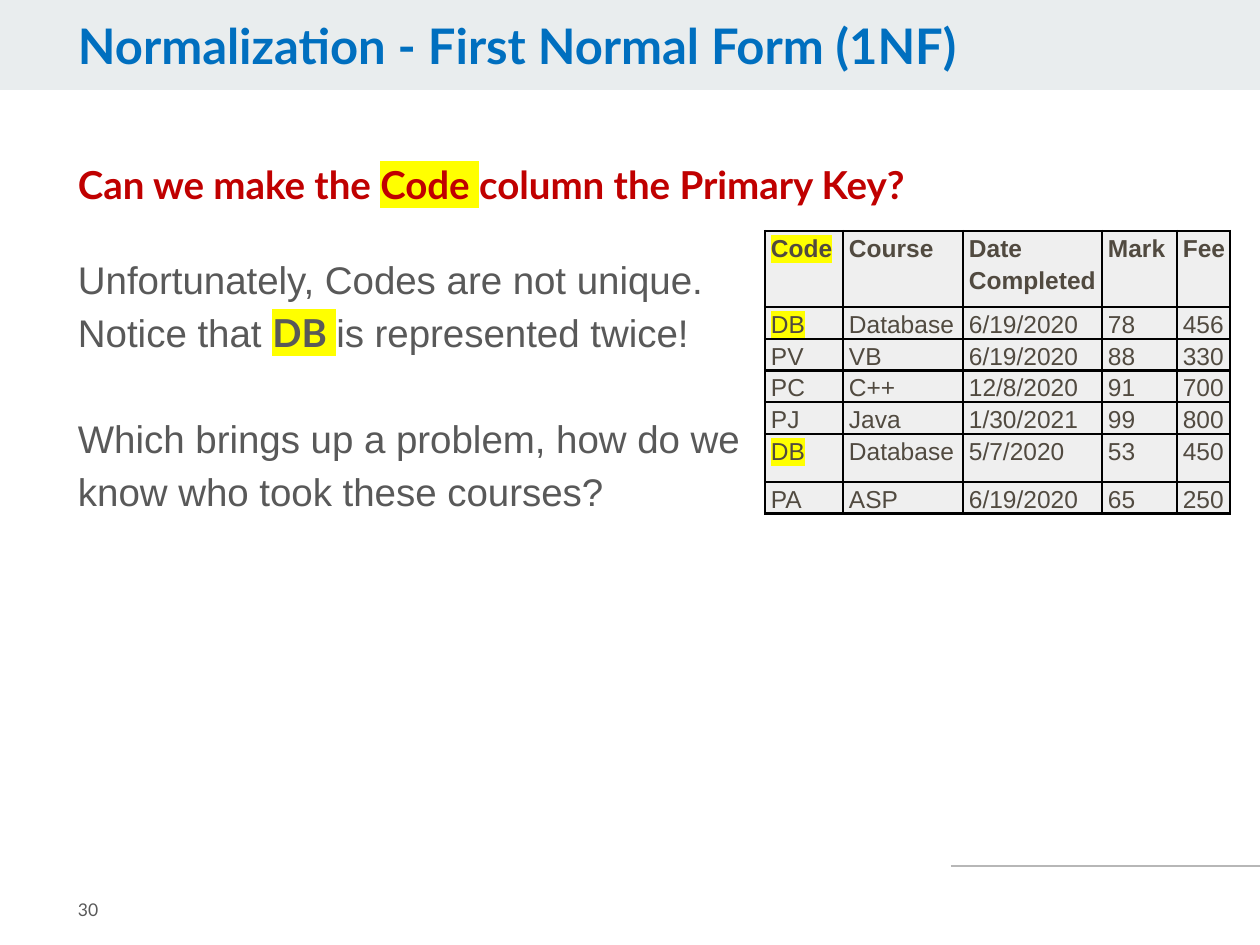
from typing import NamedTuple

from lxml.etree import SubElement
from pptx import Presentation
from pptx.dml.color import RGBColor
from pptx.enum.shapes import MSO_CONNECTOR, MSO_SHAPE
from pptx.enum.text import MSO_ANCHOR, MSO_AUTO_SIZE, PP_ALIGN
from pptx.oxml.ns import qn
from pptx.util import Emu, Pt

PX_PER_INCH = 126
COLORS = {
    "title": "006FBF", "question": "C00000", "body": "595959", "cell_text": "514A40",
    "highlight": "FFFF00", "band": "E9EDEE", "cell": "EFEFEF", "rule": "B7B7B7",
    "border": "000000",
}


class Box(NamedTuple):
    left: int
    top: int
    width: int
    height: int


class Style(NamedTuple):
    size: int
    font: str
    color: str
    bold: bool = False


class Piece(NamedTuple):
    text: str
    style: Style
    highlighted: bool = False


class Line(NamedTuple):
    pieces: list[Piece]
    space_before: int = 0


TITLE = Style(28, "Lato", "title", True)
QUESTION = Style(22, "Lato", "question", True)
BODY = Style(22, "Arial", "body")
BODY_STRONG = Style(22, "Lato", "body", True)
NUMBER = Style(10, "Lato", "body")
HEADER = Style(14, "Arial", "cell_text", True)
CELL = Style(14, "Arial", "cell_text")

BODY_LINES = [
    Line([Piece("Unfortunately, Codes are not unique.", BODY)]),
    Line([Piece("Notice that ", BODY), Piece("DB ", BODY_STRONG, True),
          Piece("is represented twice!", BODY)]),
    Line([Piece("Which brings up a problem, how do we know who took these courses?", BODY)], 30),
]
QUESTION_LINE = Line([
    Piece("Can we make the ", QUESTION),
    Piece("Code ", QUESTION, True),
    Piece("column the Primary Key?", QUESTION),
])

COURSES = [
    ["Code", "Course", "Date Completed", "Mark", "Fee"],
    ["DB", "Database", "6/19/2020", "78", "456"],
    ["PV", "VB", "6/19/2020", "88", "330"],
    ["PC", "C++", "12/8/2020", "91", "700"],
    ["PJ", "Java", "1/30/2021", "99", "800"],
    ["DB", "Database", "5/7/2020", "53", "450"],
    ["PA", "ASP", "6/19/2020", "65", "250"],
]
COLUMN_WIDTHS = [78, 120, 139, 75, 53]
ROW_HEIGHTS = [76, 27, 27, 27, 27, 48, 27]
HIGHLIGHTED_CODES = {"Code", "DB"}


def px(length: int) -> Emu:
    return Emu(round(length * 914400 / PX_PER_INCH))


def rgb(name: str) -> RGBColor:
    return RGBColor.from_string(COLORS[name])


def place(shape, box: Box) -> None:
    shape.left, shape.top, shape.width, shape.height = map(px, box)


def add_piece(paragraph, piece: Piece) -> None:
    run = paragraph.add_run()
    run.text = piece.text
    run.font.size = Pt(piece.style.size)
    run.font.bold = piece.style.bold
    run.font.color.rgb = rgb(piece.style.color)
    if piece.highlighted:
        highlight = SubElement(run._r.get_or_add_rPr(), qn("a:highlight"))
        SubElement(highlight, qn("a:srgbClr"), val=COLORS["highlight"])
    run.font.name = piece.style.font


def write(text_frame, lines: list[Line], spacing: float = 1.15) -> None:
    """Fill a text frame with left-aligned, unbulleted paragraphs."""
    for index, line in enumerate(lines):
        paragraph = text_frame.add_paragraph() if index else text_frame.paragraphs[0]
        properties = paragraph._p.get_or_add_pPr()
        properties.set("marL", "0")
        properties.set("indent", "0")
        SubElement(properties, qn("a:buNone"))
        paragraph.alignment = PP_ALIGN.LEFT
        paragraph.line_spacing = spacing
        paragraph.space_before = Pt(line.space_before)
        paragraph.space_after = Pt(0)
        for piece in line.pieces:
            add_piece(paragraph, piece)


def set_frame(text_frame, vertical_margin: int, anchor=MSO_ANCHOR.TOP) -> None:
    text_frame.word_wrap = True
    text_frame.auto_size = MSO_AUTO_SIZE.NONE
    text_frame.vertical_anchor = anchor
    text_frame.margin_left = text_frame.margin_right = px(13)
    text_frame.margin_top = text_frame.margin_bottom = px(vertical_margin)


def fill_placeholder(shape, box: Box, lines: list[Line], spacing: float) -> None:
    place(shape, box)
    set_frame(shape.text_frame, 6)
    write(shape.text_frame, lines, spacing)


def add_text(slide, box: Box, line: Line, spacing: float, anchor=MSO_ANCHOR.TOP) -> None:
    text_frame = slide.shapes.add_textbox(*map(px, box)).text_frame
    set_frame(text_frame, 13, anchor)
    write(text_frame, [line], spacing)


def add_title_band(slide, box: Box) -> None:
    """Draw the band and send it behind the title."""
    band = slide.shapes.add_shape(MSO_SHAPE.RECTANGLE, *map(px, box))
    band.shadow.inherit = False
    band.fill.solid()
    band.fill.fore_color.rgb = rgb("band")
    band.line.fill.background()
    slide.shapes._spTree.insert(2, band._element)


def add_footer_rule(slide, left: int, right: int, top: int) -> None:
    rule = slide.shapes.add_connector(
        MSO_CONNECTOR.STRAIGHT, px(left), px(top), px(right), px(top))
    rule.line.color.rgb = rgb("rule")
    rule.line.width = Pt(0.75)
    SubElement(rule._element.spPr, qn("a:effectLst"))


def add_borders(cell) -> None:
    properties = cell._tc.get_or_add_tcPr()
    for index, side in enumerate(("lnL", "lnR", "lnT", "lnB")):
        border = SubElement(properties, qn(f"a:{side}"), w=str(Pt(1.5)))
        fill = SubElement(border, qn("a:solidFill"))
        SubElement(fill, qn("a:srgbClr"), val=COLORS["border"])
        properties.insert(index, border)


def add_course_table(slide, left: int, top: int) -> None:
    box = Box(left, top, sum(COLUMN_WIDTHS), sum(ROW_HEIGHTS))
    table = slide.shapes.add_table(len(COURSES), len(COLUMN_WIDTHS), *map(px, box)).table
    for column, width in zip(table.columns, COLUMN_WIDTHS):
        column.width = px(width)
    for row_index, (row, height) in enumerate(zip(table.rows, ROW_HEIGHTS)):
        row.height = px(height)
        for cell, text in zip(row.cells, COURSES[row_index]):
            cell.margin_left = px(6)
            cell.margin_right = cell.margin_top = cell.margin_bottom = 0
            cell.fill.solid()
            cell.fill.fore_color.rgb = rgb("cell")
            add_borders(cell)
            style = CELL if row_index else HEADER
            write(cell.text_frame, [Line([Piece(text, style, text in HIGHLIGHTED_CODES)])])


def main() -> None:
    presentation = Presentation()
    presentation.slide_width, presentation.slide_height = px(1260), px(945)
    slide = presentation.slides.add_slide(presentation.slide_layouts[1])
    title, body = slide.placeholders

    add_title_band(slide, Box(0, 0, 1260, 90))
    add_footer_rule(slide, 951, 1260, 866)
    title_line = Line([Piece("Normalization - First Normal Form (1NF)", TITLE)])
    fill_placeholder(title, Box(65, 16, 993, 69), [title_line], 0.9)
    fill_placeholder(body, Box(65, 243, 699, 344), BODY_LINES, 1.15)
    add_text(slide, Box(65, 873, 155, 72), Line([Piece("30", NUMBER)]), 1.0, MSO_ANCHOR.MIDDLE)
    add_course_table(slide, 765, 231)
    add_text(slide, Box(65, 141, 1032, 72), QUESTION_LINE, 1.15)
    presentation.save("out.pptx")


if __name__ == "__main__":
    main()
